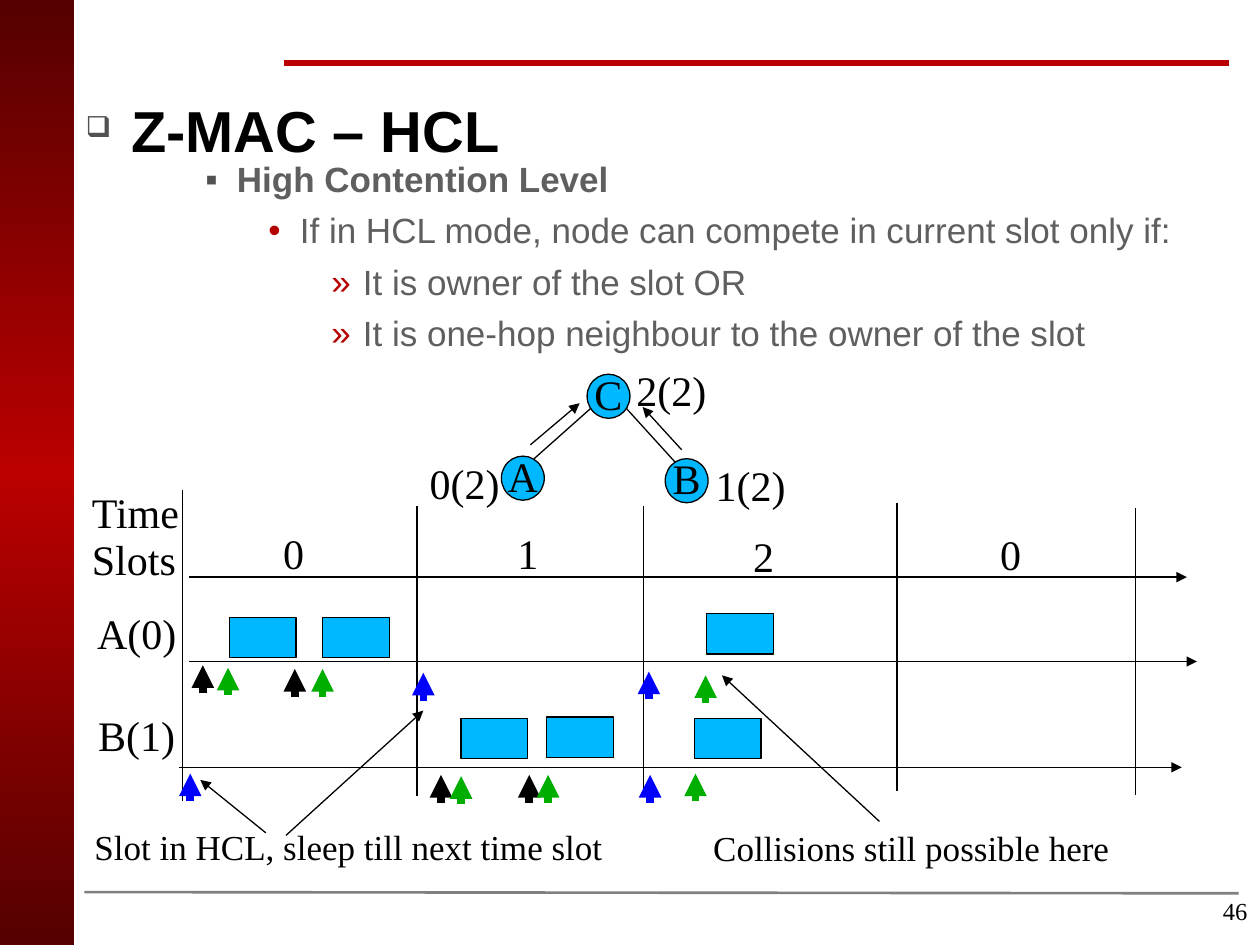
from copy import deepcopy

from pptx import Presentation
from pptx.dml.color import RGBColor
from pptx.enum.shapes import MSO_CONNECTOR as Link, MSO_SHAPE as Shape
from pptx.enum.text import MSO_ANCHOR as Anchor, MSO_AUTO_SIZE as Auto, PP_ALIGN as Align
from pptx.oxml.ns import qn
from pptx.oxml.xmlchemy import OxmlElement as Elem
from pptx.util import Inches, Pt

BLACK = RGBColor(0x00, 0x00, 0x00)
GRAY = RGBColor(0x5F, 0x5F, 0x5F)
MARK = RGBColor(0x51, 0x51, 0x51)
RULE = RGBColor(0x80, 0x80, 0x80)
RED = RGBColor(0xBA, 0x00, 0x00)
DARK = RGBColor(0x55, 0x00, 0x00)
BULLET = RGBColor(0xB4, 0x00, 0x00)
SKY = RGBColor(0x00, 0xB8, 0xFF)
GREEN = RGBColor(0x00, 0xAE, 0x00)
BLUE = RGBColor(0x00, 0x00, 0xFF)

SERIF, SANS = "Times New Roman", "Arial"

# The slide is a grid of 100 columns by 75 rows of square cells
WIDE, HIGH = Inches(10), Inches(7.5)
COLS, ROWS = 100, 75


def cells(x, y, w, h):
    return [int(n * size) for n, size in
            zip((x, y, w, h), (WIDE / COLS, HIGH / ROWS) * 2)]


def add(parent, tag, **attrs):
    node = Elem(tag)
    for key, value in attrs.items():
        node.set(key, str(value))
    parent.append(node)
    return node


def bullet(para, char, color, left, hang, size=100):
    props = para._p.get_or_add_pPr()
    props.set("marL", str(Inches(left)))
    props.set("indent", str(-Inches(hang)))
    add(add(props, "a:buClr"), "a:srgbClr", val=color)
    add(props, "a:buSzPct", val=size * 1000)
    add(props, "a:buChar", char=char)


def style(para, text, size=24, font=SERIF, color=BLACK, bold=False,
          align=Align.LEFT, before=0):
    para.text = text
    para.alignment = align
    para.line_spacing = 0.93
    para.space_before = Pt(before)
    para.font.size, para.font.name = Pt(size), font
    para.font.bold, para.font.color.rgb = bold, color


def frame(shape, inset=(0, 0), anchor=Anchor.TOP, wrap=True):
    tf = shape.text_frame
    tf.word_wrap, tf.auto_size = wrap, Auto.NONE
    tf.vertical_anchor = anchor
    tf.margin_left = tf.margin_right = Inches(inset[0])
    tf.margin_top = tf.margin_bottom = Inches(inset[1])
    return tf


def put(shape, *box):
    shape.left, shape.top, shape.width, shape.height = cells(*box)


def label(slide, text, x, y, w, h=3.7, inset=(0, 0), **fmt):
    box = slide.shapes.add_textbox(*cells(x, y, w, h))
    style(frame(box, inset).paragraphs[0], text, **fmt)


def line(slide, x1, y1, x2, y2, color=BLACK, width=0.75, arrow=False):
    link = slide.shapes.add_connector(Link.STRAIGHT, *cells(x1, y1, x2, y2))
    link.line.color.rgb, link.line.width = color, Pt(width)
    if arrow:
        add(link.line._get_or_add_ln(), "a:tailEnd", type="triangle")
    add(link._element.spPr, "a:effectLst")


def solid(slide, kind, *box):
    shape = slide.shapes.add_shape(kind, *cells(*box))
    shape.shadow.inherit = False
    shape.fill.solid()
    shape.fill.fore_color.rgb = SKY
    shape.line.color.rgb, shape.line.width = BLACK, Pt(0.75)
    return shape


def node(slide, name, x, y):
    disc = solid(slide, Shape.OVAL, x, y, 3.4, 3.5)
    tf = frame(disc, anchor=Anchor.MIDDLE, wrap=False)
    style(tf.paragraphs[0], name, align=Align.CENTER)


def band(slide):
    bar = slide.shapes.add_shape(Shape.RECTANGLE, *cells(0, 0, 5.9, ROWS))
    bar.shadow.inherit = False
    bar.line.fill.background()
    bar.fill.gradient()
    bar.fill.gradient_angle = 90
    stops = bar._element.spPr.find(".//" + qn("a:gsLst"))
    stops.append(deepcopy(stops[0]))
    for stop, place, color in zip(bar.fill.gradient_stops, (0, 0.5, 1),
                                  (DARK, RED, DARK)):
        stop.position, stop.color.rgb = place, color


def heading(slide):
    title, body = slide.placeholders
    put(title, 5.8, 7.5, 89.2, 6.4)
    para = frame(title, (0.1, 0.05)).paragraphs[0]
    bullet(para, "❑", MARK, 0.36, 0.36, 50)
    style(para, "Z-MAC – HCL", size=33, font=SANS, bold=True)

    put(body, 6.3, 12.8, 92.9, 16)
    tf = frame(body)
    items = [
        (2, "▪", MARK, "High Contention Level"),
        (3, "•", BULLET, "If in HCL mode, node can compete in current slot only if:"),
        (4, "»", BULLET, "It is owner of the slot OR"),
        (4, "»", BULLET, "It is one-hop neighbour to the owner of the slot"),
    ]
    for i, (level, char, color, text) in enumerate(items):
        para = tf.add_paragraph() if i else tf.paragraphs[0]
        para.level = level
        bullet(para, char, color, 0.25 + level / 2, 0.25)
        style(para, text, size=20, font=SANS, color=GRAY, bold=not i,
              before=7 if i else 0)


def tree(slide):
    for name, x, y in (("C", 46.6, 29.7), ("A", 39.8, 36.2), ("B", 52.8, 36.4)):
        node(slide, name, x, y)
    for text, x, y in (("0(2)", 34.1, 36.7), ("2(2)", 50.5, 29.3), ("1(2)", 56.8, 36.8)):
        label(slide, text, x, y, 7)
    line(slide, 42.4, 36.4, 46.9, 32.4)
    line(slide, 53.6, 36.7, 49.7, 32.4)
    line(slide, 42.1, 35.3, 46, 32, arrow=True)
    line(slide, 54.1, 35.7, 51, 32.3, arrow=True)


def chart(slide):
    # Time axes and slot borders
    for x1, x2, y in ((15, 94.2, 45.8), (15, 95, 52.5), (14.2, 93.8, 60.9)):
        line(slide, x1, y, x2, y, arrow=True)
    for x, top, end in ((14.5, 38.9, 63.6), (33.1, 40.2, 63.2), (51.1, 40.2, 63.1),
                        (71.2, 39.9, 62.8), (90.1, 40.3, 63.1)):
        line(slide, x, top, x, end)

    # Row and slot names
    label(slide, "Time Slots", 7.3, 39, 9.3, 7.4)
    label(slide, "A(0)", 7.7, 48.6, 6.5)
    label(slide, "B(1)", 7.8, 56.7, 6.3)
    for text, x, y in (("0", 20, 42.2), ("1", 38.6, 42.2), ("2", 57.3, 42.5), ("0", 76.9, 42.3)):
        label(slide, text, x, y, 6.6, align=Align.CENTER)

    # Packets sent
    for x, y in ((18.2, 49), (25.6, 49), (56.1, 48.7),
                 (36.6, 57), (43.4, 56.9), (55.1, 57)):
        solid(slide, Shape.RECTANGLE, x, y, 5.3, 3.2)

    # Event marks, by colour and foot of the arrow
    marks = {
        BLACK: ((16.1, 55), (23.4, 55.3), (35, 63.7), (42, 63.7)),
        GREEN: ((18.1, 55.2), (25.6, 55.3), (56, 55.8),
                (36.6, 63.8), (43.5, 63.7), (55.2, 63.6)),
        BLUE: ((33.6, 55.6), (51.5, 55.5), (15.1, 63.6), (51.6, 63.7)),
    }
    for color, feet in marks.items():
        for x, y in feet:
            line(slide, x, y, x, y - 2.2, color, 4.31, True)


def notes(slide):
    label(slide, "Slot in HCL, sleep till next time slot", 7.5, 65.8, 43, 3.1, size=20)
    label(slide, "Collisions still possible here", 56.6, 65.9, 39.2, 3.1, size=20)
    for ends in ((21.1, 66.1, 15.9, 61.9), (22.7, 66.3, 33.6, 56.4),
                 (69.8, 65.2, 57.3, 53.6)):
        line(slide, *ends, arrow=True)


def main():
    deck = Presentation()
    deck.slide_width, deck.slide_height = WIDE, HIGH
    slide = deck.slides.add_slide(deck.slide_layouts[1])

    # Page furniture
    band(slide)
    line(slide, 22.5, 5, 97.5, 5, RED, 3)
    line(slide, 6.7, 70.8, 98.3, 70.9, RULE, 1.5)
    label(slide, "46", 76.7, 70.8, 23.3, 3.2, inset=(0.1, 0.05), size=14,
          align=Align.RIGHT)

    # Content
    heading(slide)
    tree(slide)
    chart(slide)
    notes(slide)
    deck.save("out.pptx")


if __name__ == "__main__":
    main()
